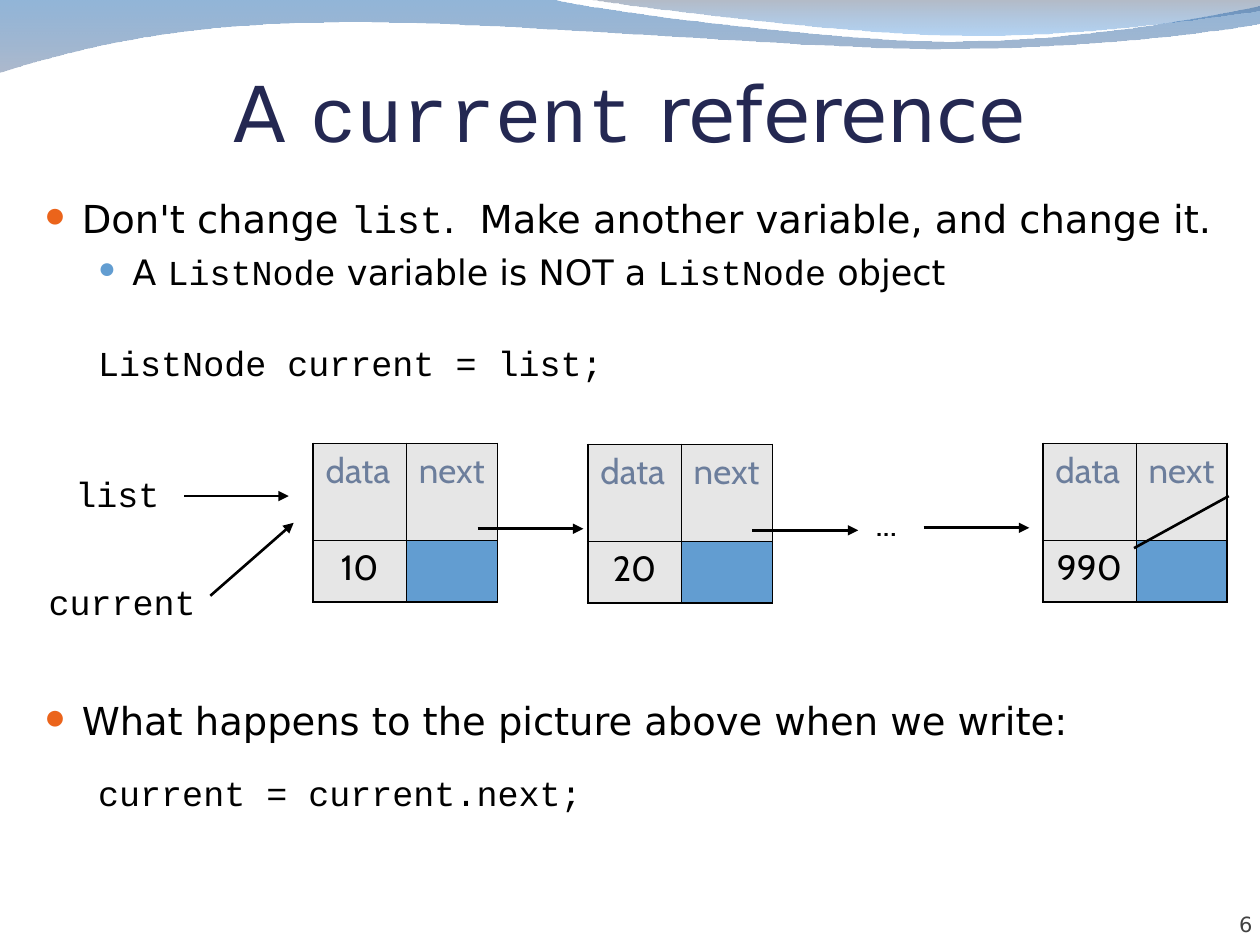
from lxml import etree
from pptx import Presentation
from pptx import util as u
from pptx.dml.color import RGBColor
from pptx.enum import shapes, text
from pptx.oxml.ns import qn

SANS, MONO, CABIN = "DejaVu Sans", "Courier New", "Cabin"
BLACK, NAVY, GREY, BLUE, ORANGE = "000000", "242852", "E6E6E6", "629DD1", "EB641B"
rgb = RGBColor.from_string

deck = Presentation()
deck.slide_width, deck.slide_height = u.Cm(25.4), u.Cm(19.05)
slide = deck.slides.add_slide(deck.slide_layouts[6])


def add_runs(paragraph, runs, size, color=BLACK):
    """Append (wording, font name) pairs to a paragraph."""
    for wording, font_name in runs:
        run = paragraph.add_run()
        run.text = wording
        run.font.name, run.font.size = font_name, u.Pt(size)
        run.font.color.rgb = rgb(color)


def add_label(box, runs, size, color=BLACK, align=text.PP_ALIGN.LEFT, bottom=False):
    """Add a text box; bottom anchors the text there without insets."""
    frame = slide.shapes.add_textbox(*map(u.Cm, box)).text_frame
    frame.word_wrap = True
    if bottom:
        frame.vertical_anchor = text.MSO_ANCHOR.BOTTOM
        frame.margin_left = frame.margin_right = frame.margin_bottom = 0
    frame.paragraphs[0].alignment = align
    add_runs(frame.paragraphs[0], runs, size, color)
    return frame


# Header waves: a segment is one point (straight) or three (Bezier curve), in cm
waves = [
    ((0, 0), [
        [(11.18, 0)],
        [(12.09, 0.23), (16.87, 0.84), (19.25, 0.84)],
        [(21.67, 0.84), (24.33, 0.36), (25.4, 0.13)],
        [(25.43, 0.48)],
        [(24.97, 0.58), (22.1, 0.99), (18.95, 0.99)],
        [(15.8, 0.99), (9.7, 0.38), (6.53, 0.46)],
        [(3.28, 0.48), (1.17, 1.09), (-0.03, 1.47)],
    ], [("0E5CA9", 45), ("687FA3", 55)]),
    ((11.86, 0), [
        [(12.65, 0.13), (17.12, 0.69), (19.38, 0.71)],
        [(21.64, 0.76), (24.41, 0.36), (25.4, 0.23)],
        [(25.4, 0)],
    ], [("576680", 45), ("046FDA", 30)]),
]
for start, segments, stops in waves:
    builder = slide.shapes.build_freeform(*map(u.Cm, start))
    builder.add_line_segments(
        [(u.Cm(x), u.Cm(y)) for segment in segments for x, y in segment], close=True)
    wave = builder.convert_to_shape()
    # Merge the three straight pieces of each curve into one Bezier segment
    pieces = iter(list(wave._element.spPr.iter(qn("a:lnTo"))))
    for segment in segments:
        group = [next(pieces) for point in segment]
        if len(group) == 3:
            curve = etree.Element(qn("a:cubicBezTo"))
            group[0].addprevious(curve)
            for piece in group:
                curve.append(piece[0])
                piece.getparent().remove(piece)
    wave.shadow.inherit = False
    wave.line.fill.background()
    wave.fill.gradient()
    wave.fill.gradient_angle = 270
    for stop, (color, opacity) in zip(wave.fill.gradient_stops, stops):
        stop.color.rgb = rgb(color)
    for tint, (color, opacity) in zip(wave._element.spPr.iter(qn("a:srgbClr")), stops):
        etree.SubElement(tint, qn("a:alpha"), val=str(opacity * 1000))

add_label((23.14, 17.86, 2.11, 1.02), [("6", SANS)], 12, "424242",
          text.PP_ALIGN.RIGHT, bottom=True)
add_label((1.27, 1.22, 22.86, 1.96),
          [("A ", SANS), ("current", MONO), (" reference", SANS)], 44, NAVY,
          text.PP_ALIGN.CENTER, bottom=True)

# Body: (runs, size, left margin cm, indent cm, space before pt, bullet colour and size)
lines = [
    ([("Don't change ", SANS), ("list", MONO),
      (".  Make another variable, and change it.", SANS)], 22, 0.76, -0.76, 0, (ORANGE, 95)),
    ([("A ", SANS), ("ListNode", MONO), (" variable is NOT a ", SANS),
      ("ListNode", MONO), (" object", SANS)], 20, 1.78, -0.69, 5, (BLUE, 85)),
    ([("ListNode current = list;", MONO)], 20, 1.78, -0.69, 28, None),
    ([("What happens to the picture above when we write:", SANS)],
     22, 0.76, -0.76, 179.5, (ORANGE, 95)),
    ([("current = current.next;", MONO)], 20, 1.78, -0.69, 16.3, None),
]
body = add_label((0.64, 3.81, 24.76, 14.4), [], 22)
for index, (runs, size, margin, indent, before, bullet) in enumerate(lines):
    paragraph = body.add_paragraph() if index else body.paragraphs[0]
    paragraph.space_before = u.Pt(before)
    layout = paragraph._p.get_or_add_pPr()
    layout.set("marL", str(u.Cm(margin)))
    layout.set("indent", str(u.Cm(indent)))
    if bullet:
        tint = etree.SubElement(layout, qn("a:buClr"))
        etree.SubElement(tint, qn("a:srgbClr"), val=bullet[0])
        etree.SubElement(layout, qn("a:buSzPct"), val=str(bullet[1] * 1000))
        etree.SubElement(layout, qn("a:buFont"), typeface=MONO)
        etree.SubElement(layout, qn("a:buChar"), char="●")
    else:
        etree.SubElement(layout, qn("a:buNone"))
    add_runs(paragraph, runs, size)

# List nodes
THICK, THIN = u.Pt(1.08), u.Pt(0.45)
for left, top, value in [(6.31, 8.94, "10"), (11.85, 8.96, "20"), (21.02, 8.94, "990")]:
    frame = slide.shapes.add_table(2, 2, u.Cm(left), u.Cm(top), u.Cm(3.72), u.Cm(3.2))
    node = frame.table
    node.first_row = node.horz_banding = False
    node.columns[0].width, node.columns[1].width = u.Cm(1.88), u.Cm(1.84)
    node.rows[0].height, node.rows[1].height = u.Cm(1.96), u.Cm(1.24)
    for row, wordings in enumerate([("data", "next"), (value, "")]):
        for column, wording in enumerate(wordings):
            cell = node.cell(row, column)
            paragraph = cell.text_frame.paragraphs[0]
            if wording:
                add_runs(paragraph, [(wording, CABIN)], 20, BLACK if row else "6C7E9C")
            if row:
                paragraph.alignment = text.PP_ALIGN.CENTER
            borders = cell._tc.get_or_add_tcPr()
            outer = {"lnL": column == 0, "lnR": column == 1, "lnT": row == 0, "lnB": row == 1}
            for side, is_outer in outer.items():
                border = etree.SubElement(borders, qn(f"a:{side}"), w=str(THICK if is_outer else THIN))
                paint = etree.SubElement(border, qn("a:solidFill"))
                etree.SubElement(paint, qn("a:srgbClr"), val=BLACK)
            cell.fill.solid()
            cell.fill.fore_color.rgb = rgb(GREY if wording else BLUE)

# Variables and the gap between nodes
add_label((1.27, 9.41, 2.21, 1.12), [("list", MONO)], 20)
add_label((0.73, 11.58, 4.39, 1.12), [("current", MONO)], 20)
add_label((17.4, 9.98, 1.07, 1.12), [("...", CABIN)], 20)

# References, then the null slash in the last node
links = [
    ((3.71, 10), (5.82, 10), True),
    ((4.24, 12.01), (5.92, 10.54), True),
    ((9.63, 10.66), (11.76, 10.66), True),
    ((15.16, 10.69), (17.3, 10.69), True),
    ((18.62, 10.64), (20.75, 10.64), True),
    ((24.77, 10), (22.86, 11.05), False),
]
for begin, end, has_head in links:
    link = slide.shapes.add_connector(
        shapes.MSO_CONNECTOR.STRAIGHT, *map(u.Cm, begin + end))
    link.line.color.rgb = rgb(BLACK)
    link.line.width = u.Pt(1.5)
    if has_head:
        etree.SubElement(link.line._get_or_add_ln(), qn("a:tailEnd"), type="triangle")
    etree.SubElement(link._element.spPr, qn("a:effectLst"))

deck.save("out.pptx")
